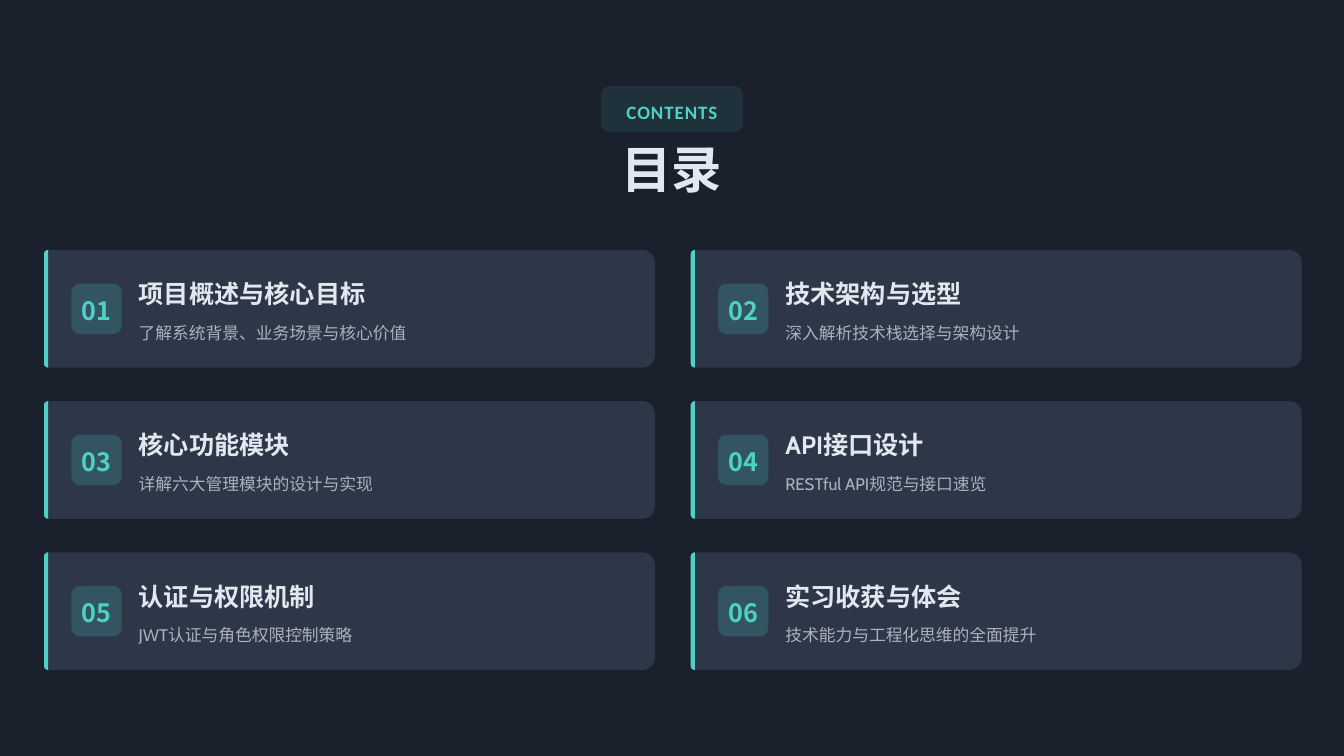
from math import cos, radians, sin

from lxml import etree
from pptx import Presentation
from pptx.dml.color import RGBColor
from pptx.enum.shapes import MSO_SHAPE
from pptx.enum.text import MSO_ANCHOR, PP_ALIGN
from pptx.oxml.ns import qn
from pptx.util import Cm, Pt

ROUNDED = MSO_SHAPE.ROUNDED_RECTANGLE
MIDDLE = MSO_ANCHOR.MIDDLE
LEFT, CENTER = PP_ALIGN.LEFT, PP_ALIGN.CENTER

COLORS = {
    "background": "1A202C",
    "card": "2D3748",
    "accent": "4FD1C5",
    "text": "E2E8F0",
}
CJK_FONT, LATIN_FONT, LABEL_FONT = "Noto Sans CJK SC", "Cabin", "Calibri"

SLIDE_W, SLIDE_H = 45.16, 25.4
CARD_W, CARD_H = 20.53, 3.95
CARDS_LEFT, CARDS_TOP = 1.48, 8.4
COLUMN_STEP, ROW_STEP = 21.73, 5.08
SMALL_RADIUS, LARGE_RADIUS = 0.14, 0.42

TOPICS = [
    ("项目概述与核心目标", "了解系统背景、业务场景与核心价值"),
    ("技术架构与选型", "深入解析技术栈选择与架构设计"),
    ("核心功能模块", "详解六大管理模块的设计与实现"),
    ("API接口设计", "RESTful API规范与接口速览"),
    ("认证与权限机制", "JWT认证与角色权限控制策略"),
    ("实习收获与体会", "技术能力与工程化思维的全面提升"),
]


def set_color(color_format, color, parent, opacity):
    """Set a colour; opacity is a percentage."""
    color_format.rgb = RGBColor.from_string(COLORS[color])
    if opacity < 100:
        srgb = next(parent.iter(qn("a:srgbClr")))
        etree.SubElement(srgb, qn("a:alpha"), val=str(opacity * 1000))


def paint(shape, color, opacity=100):
    shape.shadow.inherit = False
    shape.fill.solid()
    set_color(shape.fill.fore_color, color, shape.element.spPr, opacity)
    shape.line.fill.background()


def add_rounded(slide, x, y, w, h, color, opacity, radius=0.28):
    tile = slide.shapes.add_shape(ROUNDED, Cm(x), Cm(y), Cm(w), Cm(h))
    tile.adjustments[0] = radius / min(w, h)
    paint(tile, color, opacity)


def add_panel(slide, x, y, w, h, color, left_radius, right_radius):
    """Draw a box whose left and right corners have their own radius."""
    l, r = left_radius, right_radius
    corners = [
        (x + l, y + l, l, 180),
        (x + w - r, y + r, r, 270),
        (x + w - r, y + h - r, r, 0),
        (x + l, y + h - l, l, 90),
    ]
    points = []
    for cx, cy, radius, start in corners:
        for turn in range(0, 91, 10) if radius else [0]:
            angle = radians(start + turn)
            points.append((Cm(cx + radius * cos(angle)), Cm(cy + radius * sin(angle))))
    outline = slide.shapes.build_freeform(*points[0])
    outline.add_line_segments(points[1:], close=True)
    paint(outline.convert_to_shape(), color)


def add_text(slide, text, x, y, w, h, *, size, font=LATIN_FONT, color="text",
             bold=True, align=LEFT, line_spacing=1.1, opacity=100, tracking=0):
    box = slide.shapes.add_textbox(Cm(x), Cm(y), Cm(w), Cm(h))
    frame = box.text_frame
    frame.word_wrap = True
    frame.vertical_anchor = MIDDLE
    frame.margin_left = frame.margin_right = 0
    frame.margin_top = frame.margin_bottom = 0
    paragraph = frame.paragraphs[0]
    paragraph.alignment = align
    paragraph.line_spacing = line_spacing
    run = paragraph.add_run()
    run.text = text
    run.font.size = Pt(size)
    run.font.bold = bold
    run.font.name = font
    set_color(run.font.color, color, box.element, opacity)
    # East Asian font and letter spacing
    properties = next(box.element.iter(qn("a:rPr")))
    etree.SubElement(properties, qn("a:ea"), typeface=CJK_FONT)
    if tracking:
        properties.set("spc", str(round(tracking * 100)))


def add_header(slide, x, y, w):
    # Label badge
    badge_w = 4.76
    badge_x = x + (w - badge_w) / 2
    add_rounded(slide, badge_x, y, badge_w, 1.55, "accent", 10)
    add_text(slide, "CONTENTS", badge_x + 0.4, y + 0.31, badge_w - 0.8, 0.92,
             size=18, font=LABEL_FONT, color="accent", align=CENTER,
             line_spacing=1.3, tracking=0.9)
    # Title
    add_text(slide, "目录", x, y + 2.11, w, 1.7, size=48, font=CJK_FONT,
             align=CENTER, line_spacing=0.8)


def add_card(slide, x, y, w, h, number, title, summary):
    # Panel with accent stripe
    add_panel(slide, x, y, w, h, "card", SMALL_RADIUS, LARGE_RADIUS)
    add_panel(slide, x, y, SMALL_RADIUS, h, "accent", SMALL_RADIUS, 0)
    # Number tile
    tile = 1.69
    add_rounded(slide, x + 0.92, y + (h - tile) / 2, tile, tile, "accent", 20)
    add_text(slide, f"{number:02d}", x + 1.27, y + 1.41, 1.41, 1.13,
             size=24, font=CJK_FONT, color="accent")
    # Topic
    add_text(slide, title, x + 3.18, y + 0.85, w - 3.6, 1.13, size=24)
    add_text(slide, summary, x + 3.18, y + 2.25, w - 3.74, 0.85, size=16,
             bold=False, line_spacing=1.3, opacity=70)


def main():
    deck = Presentation()
    deck.slide_width, deck.slide_height = Cm(SLIDE_W), Cm(SLIDE_H)
    slide = deck.slides.add_slide(deck.slide_layouts[6])
    slide.background.fill.solid()
    slide.background.fill.fore_color.rgb = RGBColor.from_string(COLORS["background"])

    add_header(slide, 0.99, 2.89, SLIDE_W - 1.98)
    for index, (title, summary) in enumerate(TOPICS):
        row, column = divmod(index, 2)
        add_card(slide, CARDS_LEFT + column * COLUMN_STEP, CARDS_TOP + row * ROW_STEP,
                 CARD_W, CARD_H, index + 1, title, summary)
    deck.save("out.pptx")


if __name__ == "__main__":
    main()
